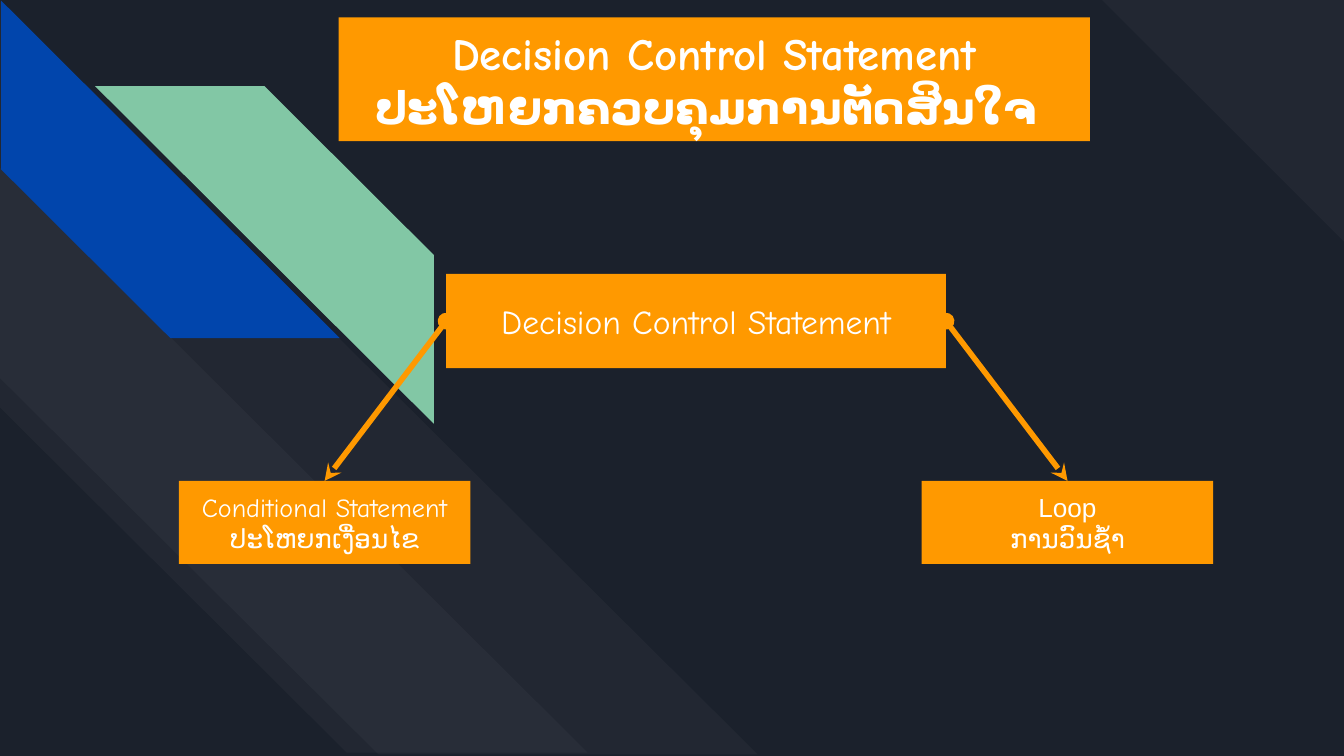
from lxml import etree
from pptx import Presentation
from pptx.dml.color import RGBColor
from pptx.enum.shapes import MSO_CONNECTOR, MSO_SHAPE
from pptx.enum.text import MSO_ANCHOR, MSO_AUTO_SIZE, PP_ALIGN
from pptx.oxml.ns import qn
from pptx.util import Cm, Pt

RECT, STRIPE = MSO_SHAPE.RECTANGLE, MSO_SHAPE.DIAGONAL_STRIPE
LINE = MSO_CONNECTOR.STRAIGHT
MIDDLE, CENTER = MSO_ANCHOR.MIDDLE, PP_ALIGN.CENTER
NO_FIT = MSO_AUTO_SIZE.NONE
TOP, LEFT, RIGHT = 0, 1, 3

NIGHT = RGBColor(0x1B, 0x21, 0x2C)
WHITE = RGBColor(0xFF, 0xFF, 0xFF)
BLUE = RGBColor(0x01, 0x45, 0xAC)
GREEN = RGBColor(0x82, 0xC7, 0xA5)
ORANGE = RGBColor(0xFF, 0x99, 0x00)
COMIC, ARIAL = "Comic Neue", "Arial"


class Deck:
    def __init__(self):
        self.prs = Presentation()
        self.prs.slide_width, self.prs.slide_height = Cm(25.4), Cm(14.29)
        self.slide = self.prs.slides.add_slide(self.prs.slide_layouts[5])
        self.shapes = self.slide.shapes
        fill = self.slide.background.fill
        fill.solid()
        fill.fore_color.rgb = NIGHT

    def paint(self, shape, color):
        shape.fill.solid()
        shape.fill.fore_color.rgb = color
        shape.line.fill.background()

    def stripe(self, area, color, turn=0, cut=0.5, alpha=None, flip=False):
        shape = self.shapes.add_shape(STRIPE, *map(Cm, area))
        shape.shadow.inherit = False
        shape.adjustments[0] = cut
        shape.rotation = turn
        self.paint(shape, color)
        props = shape._element.spPr
        if alpha:
            tint = props.find(".//" + qn("a:srgbClr"))
            etree.SubElement(tint, qn("a:alpha"), val=str(alpha * 1000))
        if flip:
            props.find(qn("a:xfrm")).set("flipH", "1")

    def label(self, shape, lines, size, bold=False):
        frame = shape.text_frame
        frame.word_wrap = True
        frame.auto_size = NO_FIT
        frame.vertical_anchor = MIDDLE
        frame.margin_left = frame.margin_right = Cm(0.25)
        frame.margin_top = frame.margin_bottom = Cm(0.25)
        for i, (text, face) in enumerate(lines):
            para = frame.add_paragraph() if i else frame.paragraphs[0]
            para.alignment = CENTER
            run = para.add_run()
            run.text = text
            font = run.font
            font.size, font.bold, font.name = Pt(size), bold, face
            font.color.rgb = WHITE
            # Lao glyphs take the complex script face
            for tag in ("a:ea", "a:cs"):
                etree.SubElement(run._r.rPr, qn(tag), typeface=face)

    def title(self, area, lines, size):
        shape = self.shapes.title
        shape.left, shape.top, shape.width, shape.height = map(Cm, area)
        self.paint(shape, ORANGE)
        self.label(shape, lines, size, bold=True)

    def box(self, area, lines, size):
        shape = self.shapes.add_shape(RECT, *map(Cm, area))
        shape.shadow.inherit = False
        self.paint(shape, ORANGE)
        self.label(shape, lines, size)
        return shape

    def arrow(self, child, root, side):
        link = self.shapes.add_connector(LINE, 0, 0, 0, 0)
        link.begin_connect(child, TOP)
        link.end_connect(root, side)
        link.line.color.rgb = ORANGE
        link.line.width = Pt(3)
        props = link._element.spPr
        line = props.find(qn("a:ln"))
        etree.SubElement(line, qn("a:headEnd"), type="stealth")
        etree.SubElement(line, qn("a:tailEnd"), type="oval")
        etree.SubElement(props, qn("a:effectLst"))


def main():
    deck = Deck()

    # Backdrop stripes
    deck.stripe((20.83, 0, 4.57, 4.57), WHITE, 90, cut=0, alpha=3)
    deck.stripe((0.03, -0.03, 14.25, 14.33), WHITE, 270, alpha=3)
    deck.stripe((0.03, 3.15, 11.05, 11.1), WHITE, 270, cut=0.59, alpha=3)
    deck.stripe((0.03, 0, 6.38, 6.4), BLUE, 270)
    deck.stripe((1.8, 1.63, 6.4, 6.38), GREEN, flip=True)

    # Title
    name = "Decision Control Statement"
    deck.title((6.4, 0.33, 14.2, 2.34),
               [(name, COMIC), ("ປະໂຫຍກຄວບຄຸມການຕັດສິນໃຈ ", COMIC)], 24)

    # Tree: a root and two branches
    root = deck.box((8.43, 5.18, 9.45, 1.78), [(name, COMIC)], 18)
    leaves = [
        (3.38, LEFT, [("Conditional Statement", COMIC), ("ປະໂຫຍກເງື່ອນໄຂ", ARIAL)]),
        (17.42, RIGHT, [("Loop", ARIAL), ("ການວົນຊ້ຳ", ARIAL)]),
    ]
    for x, side, lines in leaves:
        leaf = deck.box((x, 9.09, 5.51, 1.57), lines, 14)
        deck.arrow(leaf, root, side)

    deck.prs.save("out.pptx")


if __name__ == "__main__":
    main()
